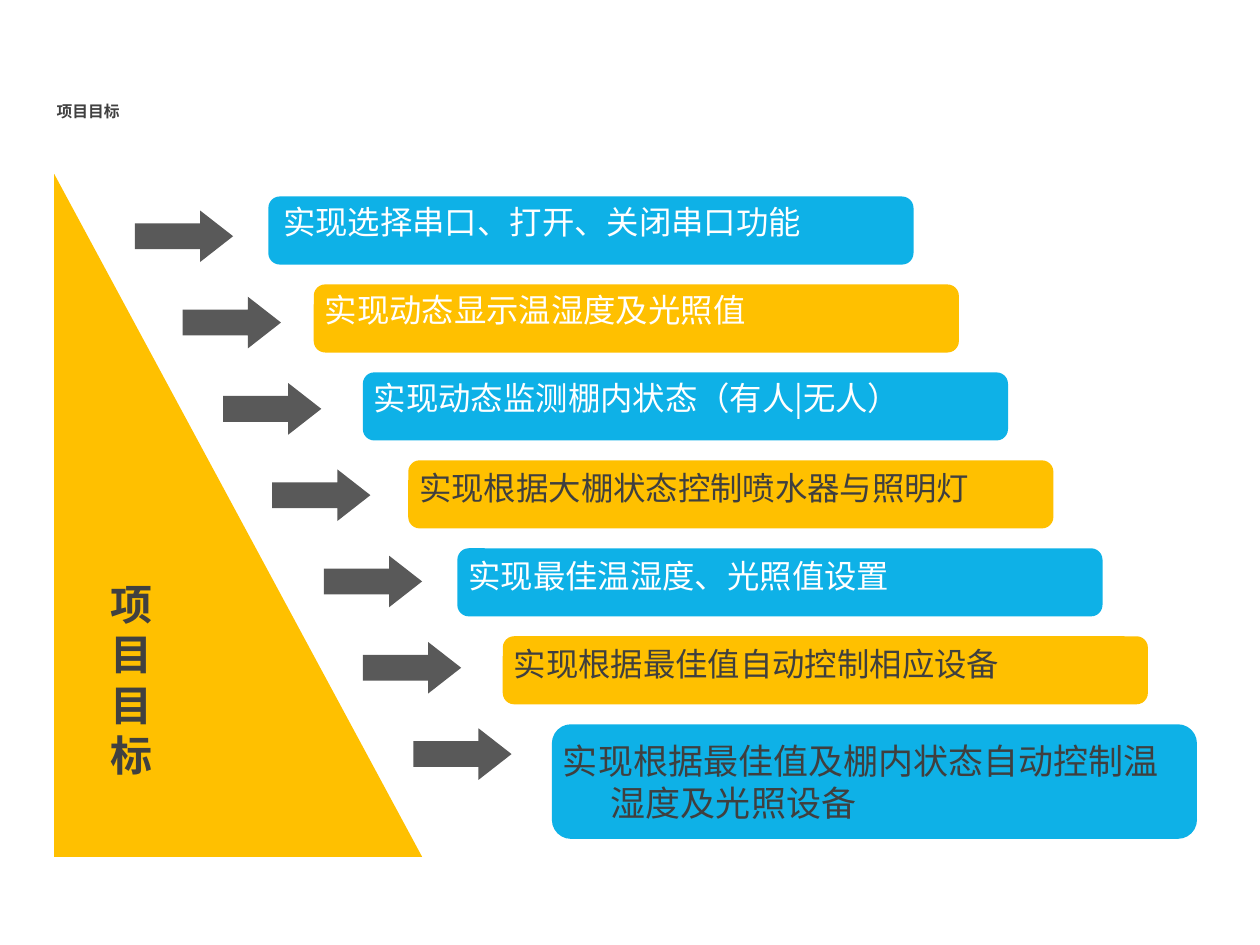
from lxml import etree
from pptx import Presentation
from pptx.dml.color import RGBColor
from pptx.enum import shapes, text
from pptx.oxml import ns
from pptx.util import Inches, Pt

FONT = "Noto Sans CJK SC"
BLUE = RGBColor(0x0E, 0xB1, 0xE7)
AMBER = RGBColor(0xFF, 0xC0, 0x00)
GREY = RGBColor(0x59, 0x59, 0x59)
DARK = RGBColor(0x40, 0x40, 0x40)
INK = RGBColor(0x3F, 0x3F, 0x3F)
WHITE = RGBColor(0xFF, 0xFF, 0xFF)


def add_filled_shape(kind, left, top, width, height, color):
    shape = slide.shapes.add_shape(
        kind, Inches(left), Inches(top), Inches(width), Inches(height))
    shape.shadow.inherit = False
    shape.fill.solid()
    shape.fill.fore_color.rgb = color
    shape.line.fill.background()
    return shape


def write_run(paragraph, wording, size, color, bold=False):
    """Add a run whose font covers Latin and East Asian characters."""
    run = paragraph.add_run()
    run.text = wording
    run.font.name = FONT
    run.font.size = Pt(size)
    run.font.bold = bold
    run.font.color.rgb = color
    properties = run.font._element
    etree.SubElement(properties, ns.qn("a:ea")).set("typeface", FONT)


presentation = Presentation()
presentation.slide_width = Inches(10)
presentation.slide_height = Inches(7.5)
slide = presentation.slides.add_slide(presentation.slide_layouts[5])

# Title
title = slide.shapes.title
title.left, title.top = Inches(0.35), Inches(0.36)
title.width, title.height = Inches(2.68), Inches(0.39)
title.text_frame.auto_size = text.MSO_AUTO_SIZE.NONE
title.text_frame.vertical_anchor = text.MSO_ANCHOR.MIDDLE
paragraph = title.text_frame.paragraphs[0]
paragraph.alignment = text.PP_ALIGN.LEFT
paragraph.line_spacing = Pt(57.6)
write_run(paragraph, "项目目标", 9, DARK, bold=True)

# Triangle
add_filled_shape(shapes.MSO_SHAPE.RIGHT_TRIANGLE, 0.43, 1.38, 2.92, 5.42, AMBER)

# Arrows step down along the slope of the triangle
for index, left in enumerate([1.07, 1.45, 1.77, 2.16, 2.57, 2.88, 3.28]):
    arrow = add_filled_shape(shapes.MSO_SHAPE.RIGHT_ARROW,
                             left, 1.67 + 0.685 * index, 0.78, 0.41, GREY)
    arrow.adjustments[1] = 0.64

# Goals: wording, bar left, bar height, text left, text drop, text height, size, colour
goals = [
    ("实现选择串口、打开、关闭串口功能", 2.13, 0.54, 2.15, 0.03, 0.42, 18.5, WHITE),
    ("实现动态显示温湿度及光照值", 2.49, 0.54, 2.48, 0.03, 0.42, 18.5, WHITE),
    ("实现动态监测棚内状态（有人|无人）", 2.88, 0.54, 2.87, 0.03, 0.42, 18.5, WHITE),
    ("实现根据大棚状态控制喷水器与照明灯", 3.24, 0.54, 3.23, 0.05, 0.42, 18.5, INK),
    ("实现最佳温湿度、光照值设置", 3.63, 0.54, 3.62, 0.05, 0.42, 18.5, WHITE),
    ("实现根据最佳值自动控制相应设备", 3.99, 0.54, 3.98, 0.05, 0.42, 18.5, INK),
    ("实现根据最佳值及棚内状态自动控制温湿度及光照设备",
     4.38, 0.91, 4.37, 0.07, 0.85, 20, INK),
]
for index, goal in enumerate(goals):
    wording, left, height, text_left, drop, text_height, size, color = goal
    top = 1.56 + 0.698 * index
    add_filled_shape(shapes.MSO_SHAPE.ROUNDED_RECTANGLE, left, top, 5.12, height,
                     AMBER if index % 2 else BLUE)
    box = slide.shapes.add_textbox(Inches(text_left), Inches(top + drop),
                                   Inches(5.04), Inches(text_height))
    box.text_frame.word_wrap = True
    paragraph = box.text_frame.paragraphs[0]
    paragraph.space_before = Pt(5)
    paragraph.line_spacing = 0.9 if size < 20 else 1.0
    indent = paragraph._p.get_or_add_pPr()
    indent.set("marL", str(Inches(0.38)))
    indent.set("indent", str(Inches(-0.38)))
    write_run(paragraph, wording, size, color)

# Vertical label on the triangle, one character a line
label = slide.shapes.add_textbox(Inches(0.78), Inches(4.47), Inches(2.68), Inches(1.84))
label.text_frame.word_wrap = True
label.text_frame.vertical_anchor = text.MSO_ANCHOR.MIDDLE
for index, character in enumerate("项目目标"):
    paragraph = (label.text_frame.add_paragraph() if index
                 else label.text_frame.paragraphs[0])
    write_run(paragraph, character, 24, DARK, bold=True)

presentation.save("out.pptx")
